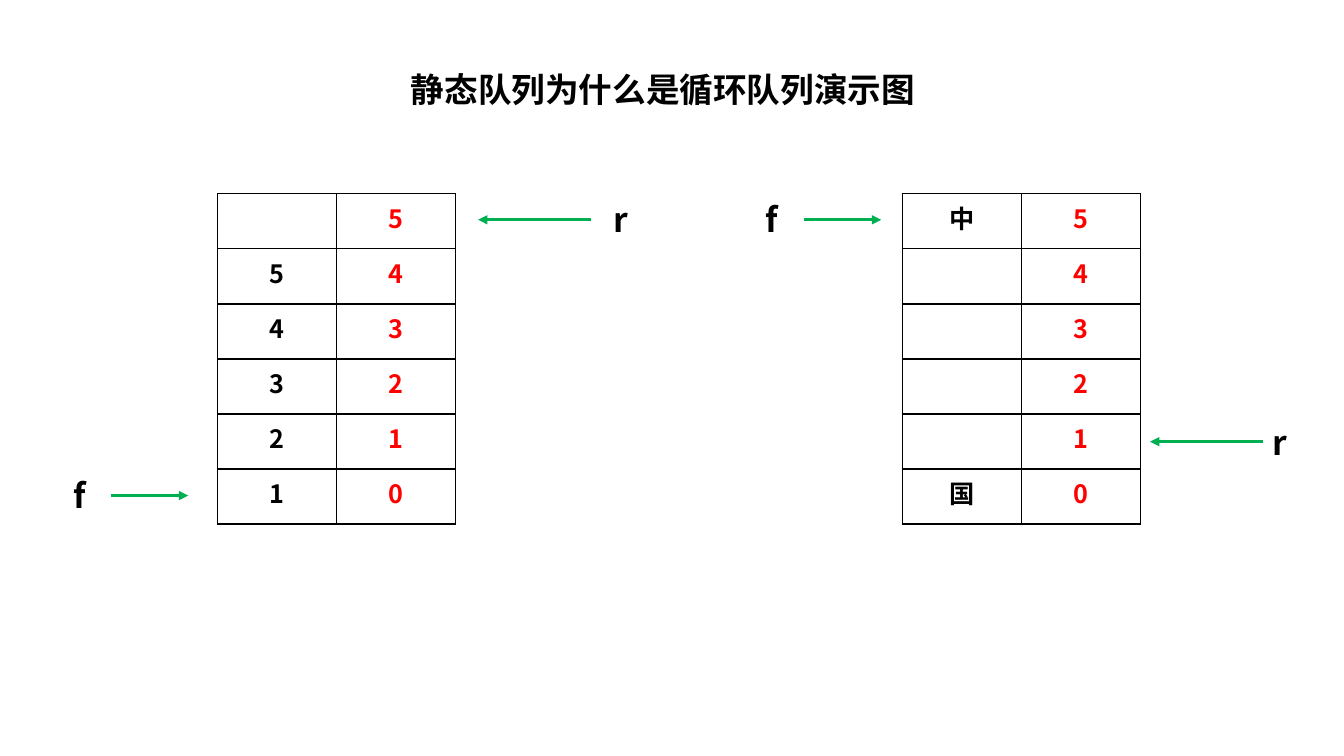
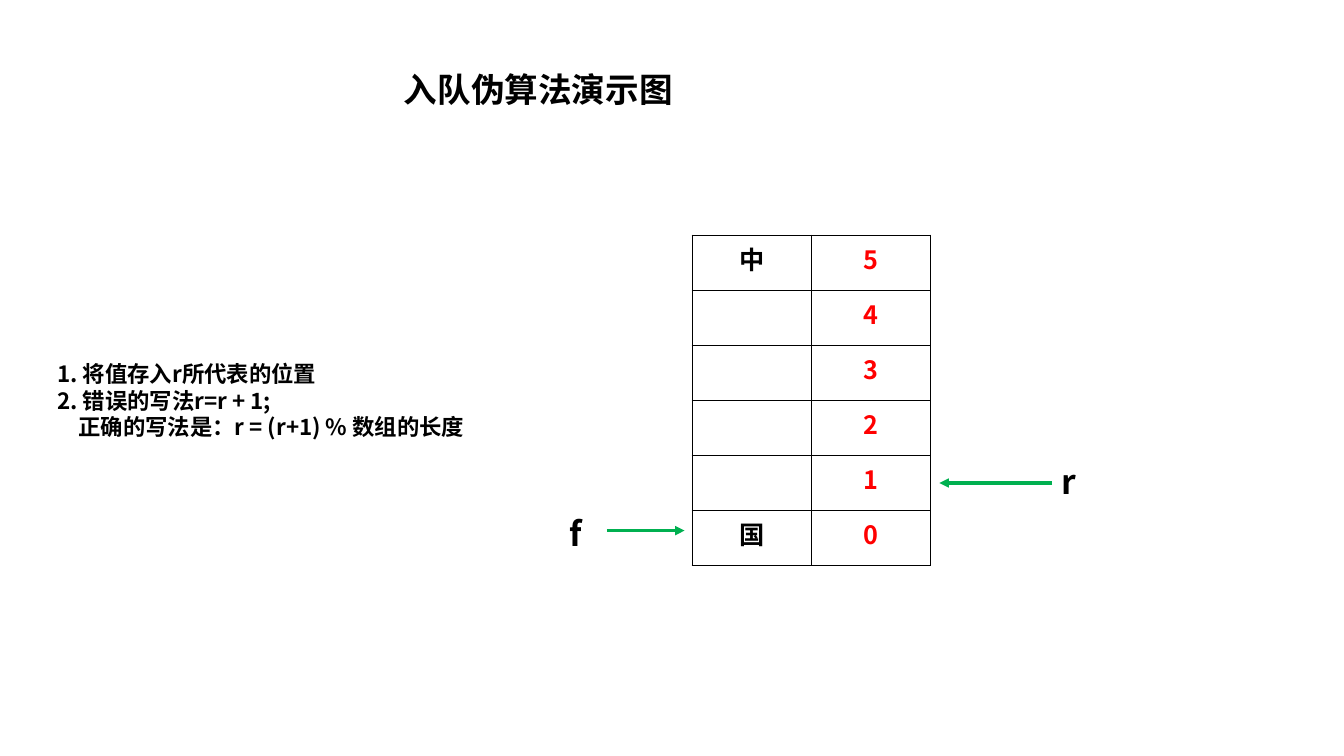
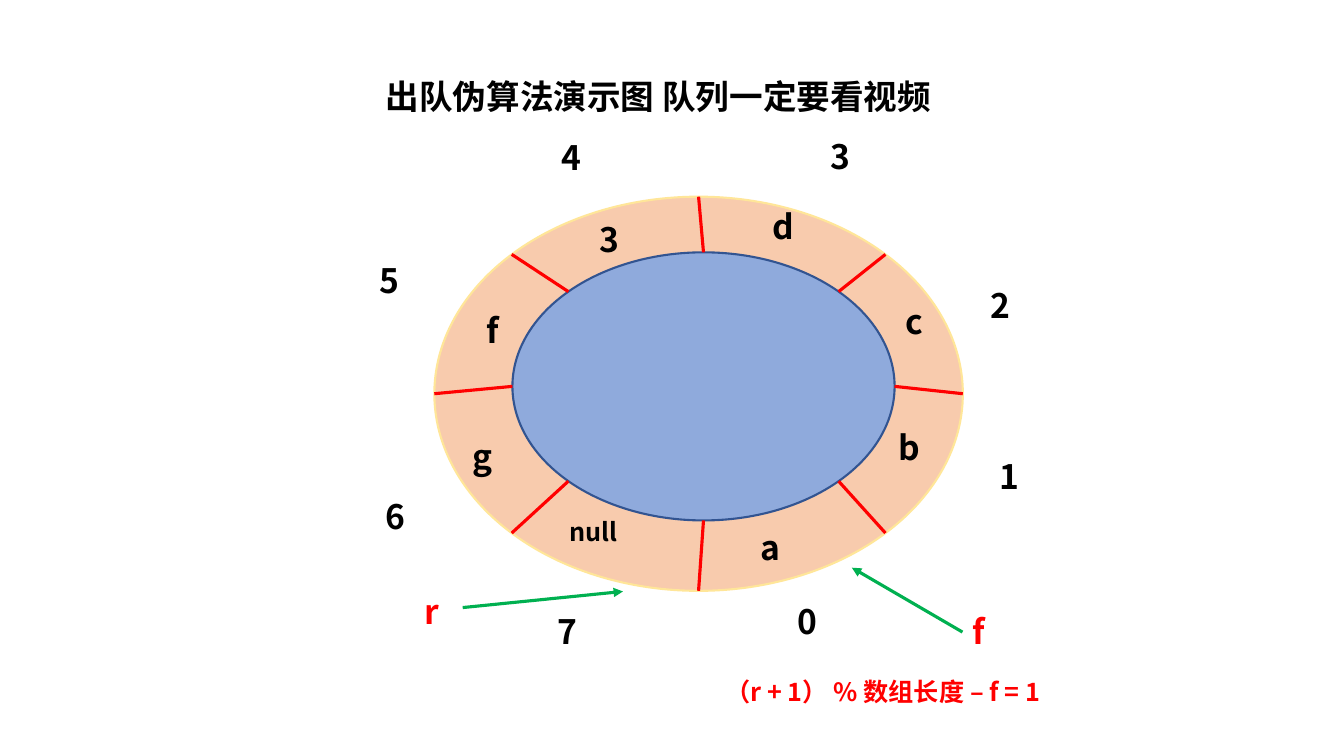
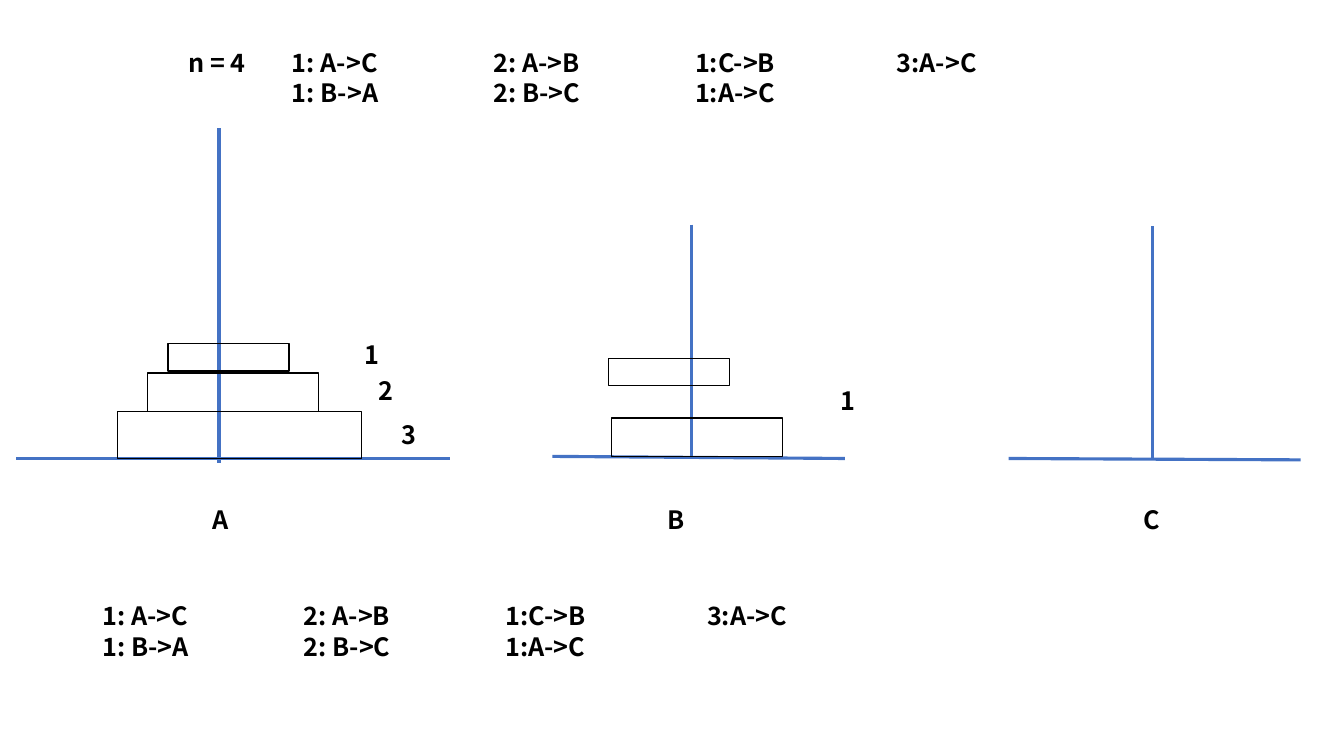
import math
from dataclasses import dataclass

from lxml import etree
from pptx import Presentation
from pptx.dml.color import RGBColor
from pptx.enum import shapes, text
from pptx.oxml.ns import qn
from pptx.util import Pt


@dataclass(frozen=True)
class Theme:
    font: str = "Noto Sans CJK SC"
    ink: str = "000000"
    paper: str = "FFFFFF"
    red: str = "FF0000"
    green: str = "00B050"
    blue: str = "4472C4"
    ring: str = "F8CBAD"
    ring_edge: str = "FFE699"
    core: str = "8FAADC"
    core_edge: str = "325491"
    large: int = 24
    medium: int = 18
    small: int = 16
    stroke: float = 2.25


theme = Theme()


def write(frame, content, size, color, align=text.PP_ALIGN.LEFT):
    frame.text = content
    for paragraph in frame.paragraphs:
        paragraph.alignment = align
        for run in paragraph.runs:
            run.font.size = Pt(size)
            run.font.bold = True
            run.font.color.rgb = RGBColor.from_string(color)
            run.font.name = theme.font
            east_asian = etree.SubElement(run.font._element, qn("a:ea"))
            east_asian.set("typeface", theme.font)


def draw_line(slide, start, end, color, arrow=False):
    line = slide.shapes.add_connector(
        shapes.MSO_CONNECTOR.STRAIGHT, *map(Pt, start + end))
    line.line.color.rgb = RGBColor.from_string(color)
    line.line.width = Pt(theme.stroke)
    if arrow:
        etree.SubElement(line.line._ln, qn("a:tailEnd")).set("type", "triangle")
    etree.SubElement(line._element.spPr, qn("a:effectLst"))


deck = Presentation()
deck.slide_width, deck.slide_height = Pt(960), Pt(540)
circular, enqueue, dequeue, hanoi = [
    deck.slides.add_slide(deck.slide_layouts[6]) for _ in range(4)]

# Text of the deck: slide, wording, left, top, width, size, colour
labels = [
    (slide, title, left, top, 518, theme.large, theme.ink)
    for slide, title, left, top in [
        (circular, "静态队列为什么是循环队列演示图", 286.5, 45.5),
        (enqueue, "入队伪算法演示图", 281.5, 45.5),
        (dequeue, "出队伪算法演示图 队列一定要看视频", 268.5, 50.5)]]

# Slides 1 and 2: queue arrays, values listed from index 5 down to 0
column_width, row_height = 85, 39.3
wrapped = ["中", "", "", "", "", "国"]
for slide, left, top, values in [
        (circular, 644.5, 138.5, wrapped),
        (circular, 155.5, 138.5, ["", "5", "4", "3", "2", "1"]),
        (enqueue, 494.5, 168, wrapped)]:
    queue = slide.shapes.add_table(
        len(values), 2, Pt(left), Pt(top),
        Pt(2 * column_width), Pt(len(values) * row_height)).table
    queue.first_row = queue.horz_banding = False
    for column in queue.columns:
        column.width = Pt(column_width)
    for row, value in enumerate(values):
        queue.rows[row].height = Pt(row_height)
        index = str(len(values) - 1 - row)
        for col, (content, color) in enumerate([(value, theme.ink), (index, theme.red)]):
            cell = queue.cell(row, col)
            write(cell.text_frame, content, theme.medium, color, text.PP_ALIGN.CENTER)
            cell.fill.solid()
            cell.fill.fore_color.rgb = RGBColor.from_string(theme.paper)
            properties = cell._tc.get_or_add_tcPr()
            for place, side in enumerate("LRTB"):
                border = etree.Element(qn("a:ln" + side), w=str(Pt(1)))
                border_fill = etree.SubElement(border, qn("a:solidFill"))
                etree.SubElement(border_fill, qn("a:srgbClr")).set("val", theme.ink)
                properties.insert(place, border)

# Front and rear pointers: name, label corner, arrow start, arrow end, arrow height
for slide, name, left, top, tail, tip, y in [
        (circular, "f", 540, 138.5, 574, 629.5, 157),
        (circular, "r", 902, 297.5, 902, 821.5, 315.5),
        (circular, "f", 45.5, 335.5, 79, 134.5, 354),
        (circular, "r", 431.5, 138.5, 422, 341.5, 157),
        (enqueue, "f", 399.5, 363, 433.5, 489, 379),
        (enqueue, "r", 751.5, 326, 751.5, 671, 345)]:
    labels.append((slide, name, left, top, 36, theme.large, theme.ink))
    draw_line(slide, (tail, y), (tip, y), theme.green, arrow=True)

steps = "1. 将值存入r所代表的位置\n2. 错误的写法r=r + 1;\n正确的写法是：r = (r+1) % 数组的长度"
labels.append((enqueue, steps, 34, 253.5, 318, theme.small, theme.ink))

# Slide 3: ring buffer, ellipses given by centre and radii
outer = (499, 281.25, 188.75, 140.75)
inner = (502.5, 276, 136.5, 95.75)
for (x, y, rx, ry), fill, edge in [
        (outer, theme.ring, theme.ring_edge), (inner, theme.core, theme.core_edge)]:
    ellipse = dequeue.shapes.add_shape(
        shapes.MSO_SHAPE.OVAL, Pt(x - rx), Pt(y - ry), Pt(2 * rx), Pt(2 * ry))
    ellipse.shadow.inherit = False
    ellipse.fill.solid()
    ellipse.fill.fore_color.rgb = RGBColor.from_string(fill)
    ellipse.line.color.rgb = RGBColor.from_string(edge)
    ellipse.line.width = Pt(1.5)

for sector in range(8):
    angle = sector * math.pi / 4
    rim, hub = [(x + rx * math.cos(angle), y + ry * math.sin(angle))
                for x, y, rx, ry in (outer, inner)]
    draw_line(dequeue, rim, hub, theme.red)

# Ring indices and the values stored in the sectors
for index, (left, top) in enumerate([
        (562.5, 425.5), (707, 322), (700.5, 200), (586, 93.5),
        (394, 94.5), (264, 182), (268.5, 350.5), (391.5, 432.5)]):
    labels.append((dequeue, str(index), left, top, 58, theme.large, theme.ink))
for value, left, top in [
        ("a", 536.5, 373), ("b", 634.5, 301.5), ("c", 639.5, 211.5), ("d", 544.5, 143.5),
        ("3", 421, 152.5), ("f", 340.5, 217.5), ("g", 330.5, 307.5)]:
    labels.append((dequeue, value, left, top, 36, theme.large, theme.ink))
labels += [
    (dequeue, "null", 399.5, 365, 58, theme.medium, theme.ink),
    (dequeue, "（r + 1） % 数组长度 – f = 1", 511, 479.5, 366.5, theme.medium, theme.red),
    (dequeue, "f", 687.5, 432.5, 36, theme.large, theme.red),
    (dequeue, "r", 296.5, 418.5, 36, theme.large, theme.red)]
draw_line(dequeue, (687.5, 451.5), (608.5, 405.5), theme.green, arrow=True)
draw_line(dequeue, (330.5, 434), (445, 422.5), theme.green, arrow=True)

# Slide 4: pegs and bases
for start, end in [
        ((156.5, 91.5), (156.5, 330.5)), ((11.5, 327.5), (321.5, 327.5)),
        ((494, 160.5), (494, 327.5)), ((394.5, 326), (603.5, 327.5)),
        ((823, 161.5), (823, 328.5)), ((720.5, 327.5), (929, 328.5))]:
    draw_line(hanoi, start, end, theme.blue)

# Disks, sized by their number
disk_sizes = {1: (86.5, 19.5), 2: (122, 27.5), 3: (174.5, 33.5)}
for number, left, top in [
        (3, 84, 294), (2, 105.5, 266.5), (1, 120, 245.5), (2, 437, 298.5), (1, 434.5, 256)]:
    disk = hanoi.shapes.add_shape(
        shapes.MSO_SHAPE.RECTANGLE, Pt(left), Pt(top), *map(Pt, disk_sizes[number]))
    disk.shadow.inherit = False
    disk.fill.background()
    disk.line.color.rgb = RGBColor.from_string(theme.ink)
    disk.line.width = Pt(1)

# Peg names, disk numbers and move lists
moves = "1: A->C\t2: A->B\t1:C->B\t3:A->C\n1: B->A\t2: B->C\t1:A->C"
for content, left, top, width in [
        ("3", 280, 296, 57), ("2", 263, 264.5, 57), ("1", 253.5, 238.5, 57),
        ("1", 593.5, 271.5, 57), ("A", 144.5, 356.5, 57), ("B", 470, 356.5, 57),
        ("C", 809.5, 356.5, 57), ("n = 4", 127.5, 30, 132),
        (moves, 201.5, 30, 750), (moves, 66, 425.5, 750)]:
    labels.append((hanoi, content, left, top, width, theme.medium, theme.ink))

# Place all text
for slide, content, left, top, width, size, color in labels:
    height = 1.2 * size * len(content.split("\n")) + 7.2
    frame = slide.shapes.add_textbox(Pt(left), Pt(top), Pt(width), Pt(height)).text_frame
    frame.word_wrap = True
    frame.auto_size = text.MSO_AUTO_SIZE.SHAPE_TO_FIT_TEXT
    write(frame, content, size, color)
    if content == steps:
        frame.paragraphs[-1]._p.get_or_add_pPr().set("marL", str(Pt(15)))
    if content == moves:
        for paragraph in frame.paragraphs:
            stops = etree.SubElement(paragraph._p.get_or_add_pPr(), qn("a:tabLst"))
            for column in (1, 2, 3):
                etree.SubElement(stops, qn("a:tab"), pos=str(Pt(144 * column)), algn="l")

deck.save("out.pptx")
